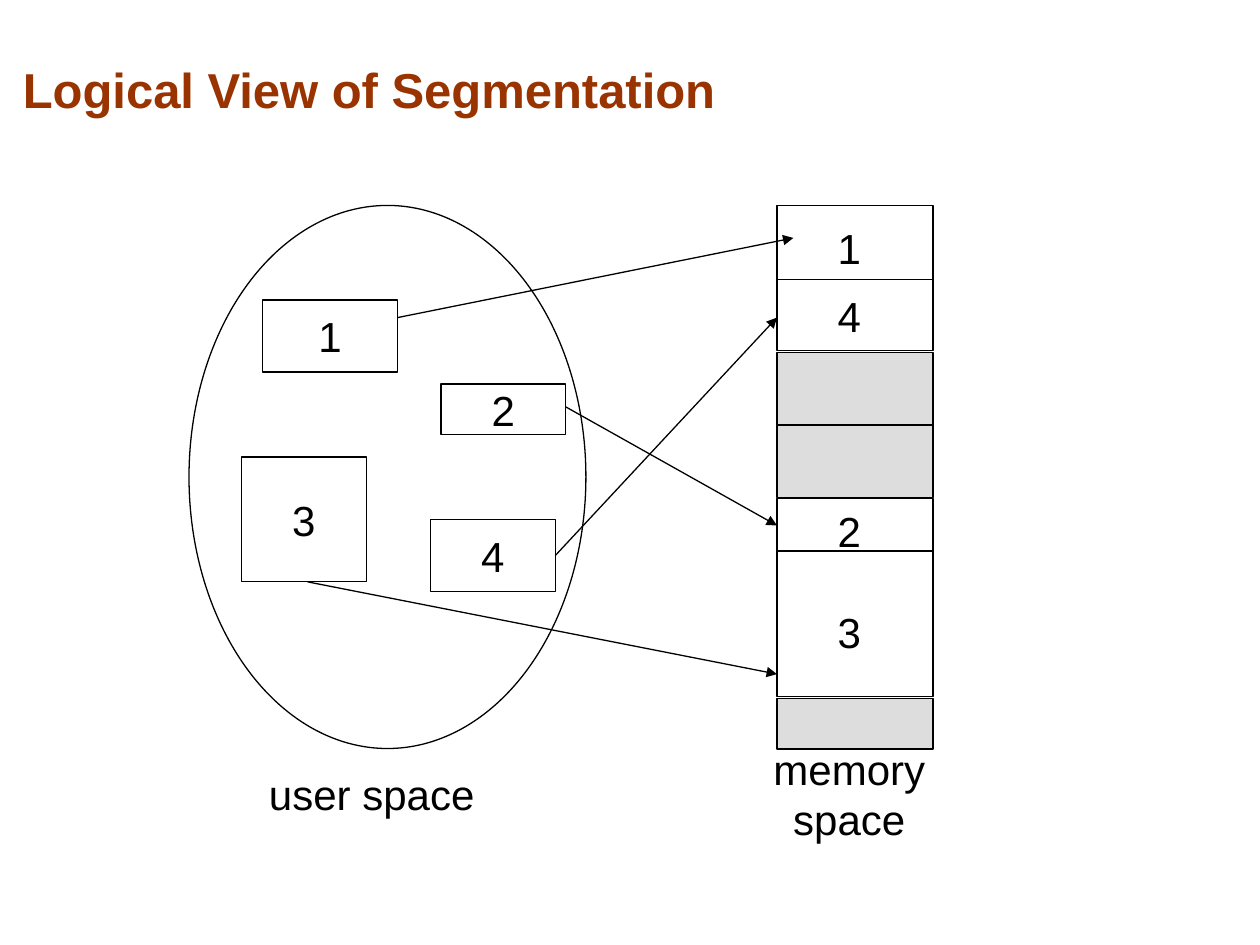
from lxml import etree
from pptx import Presentation
from pptx.dml.color import RGBColor
from pptx.enum.shapes import MSO_CONNECTOR, MSO_SHAPE
from pptx.enum.text import MSO_ANCHOR, PP_ALIGN
from pptx.oxml.ns import qn
from pptx.util import Pt

RECT, OVAL = MSO_SHAPE.RECTANGLE, MSO_SHAPE.OVAL
STRAIGHT = MSO_CONNECTOR.STRAIGHT
MIDDLE, BOTTOM = MSO_ANCHOR.MIDDLE, MSO_ANCHOR.BOTTOM
LEFT, CENTER = PP_ALIGN.LEFT, PP_ALIGN.CENTER
BLACK, WHITE, GRAY, BROWN = "000000", "FFFFFF", "DDDDDD", "993300"
MEM_LEFT, MEM_WIDTH = 444, 89.3


def color(value):
    return RGBColor.from_string(value)


def write(sp, text, size=24, fill=BLACK, bold=False, align=CENTER, anchor=MIDDLE, wrap=False):
    tf = sp.text_frame
    tf.text = text
    tf.word_wrap = wrap
    tf.vertical_anchor = anchor
    p = tf.paragraphs[0]
    p.alignment = align
    font = p.runs[0].font
    font.name, font.size, font.bold = "Arial", Pt(size), bold
    font.color.rgb = color(fill)


prs = Presentation()
prs.slide_width, prs.slide_height = Pt(720), Pt(540)
s = prs.slides.add_slide(prs.slide_layouts[6])

title = s.shapes.add_textbox(Pt(6), Pt(0), Pt(587.5), Pt(72))
write(title, "Logical View of Segmentation", 28, BROWN, True, LEFT, BOTTOM, True)
title.text_frame.paragraphs[0].line_spacing = 0.93

shapes = [
    (OVAL, 108, 117.4, 226.8, 310.3, WHITE, ""),
    (RECT, 150, 171.4, 77.2, 41.2, WHITE, "1"),
    (RECT, 138, 261.2, 71.3, 71.3, WHITE, "3"),
    (RECT, 252, 219.5, 71.3, 28.8, WHITE, "2"),
    (RECT, 246, 296.8, 71.3, 41.2, WHITE, "4"),
    (RECT, MEM_LEFT, 117.4, MEM_WIDTH, 83, WHITE, ""),
    (RECT, MEM_LEFT, 201.3, MEM_WIDTH, 83, GRAY, ""),
    (RECT, MEM_LEFT, 285, MEM_WIDTH, 113.2, WHITE, ""),
    (RECT, MEM_LEFT, 399, MEM_WIDTH, 29, GRAY, ""),
]
for kind, x, y, w, h, fill, text in shapes:
    sp = s.shapes.add_shape(kind, Pt(x), Pt(y), Pt(w), Pt(h))
    sp.shadow.inherit = False
    sp.fill.solid()
    sp.fill.fore_color.rgb = color(fill)
    sp.line.color.rgb = color(BLACK)
    sp.line.width = Pt(0.75)
    if text:
        write(sp, text)

labels = [
    ("1", 471.6, 123.4, 27.4, False),
    ("4", 471.6, 162.3, 27.4, False),
    ("2", 471.6, 285.3, 27.4, False),
    ("3", 471.6, 343, 27.4, False),
    ("user space", 143.3, 435.5, 138.2, False),
    ("memory space", 431.3, 435.5, 108, True),
]
for text, x, y, w, wrap in labels:
    write(s.shapes.add_textbox(Pt(x), Pt(y), Pt(w), Pt(36)), text, wrap=wrap)

dividers = [(MEM_LEFT, y, MEM_LEFT + MEM_WIDTH, y, False) for y in (159.6, 242.9, 314.8)]
arrows = [
    (227.2, 181.5, 453.4, 136, True),
    (323.3, 232.5, MEM_LEFT, 300.3, True),
    (175.7, 332.5, MEM_LEFT, 385.2, True),
    (317.3, 317.5, MEM_LEFT, 181.5, True),
]
for x1, y1, x2, y2, arrow in dividers + arrows:
    line = s.shapes.add_connector(STRAIGHT, Pt(x1), Pt(y1), Pt(x2), Pt(y2))
    line.line.color.rgb = color(BLACK)
    line.line.width = Pt(0.75)
    if arrow:
        etree.SubElement(line.line._get_or_add_ln(), qn("a:tailEnd"), type="triangle")
    etree.SubElement(line._element.spPr, qn("a:effectLst"))

prs.save("out.pptx")
